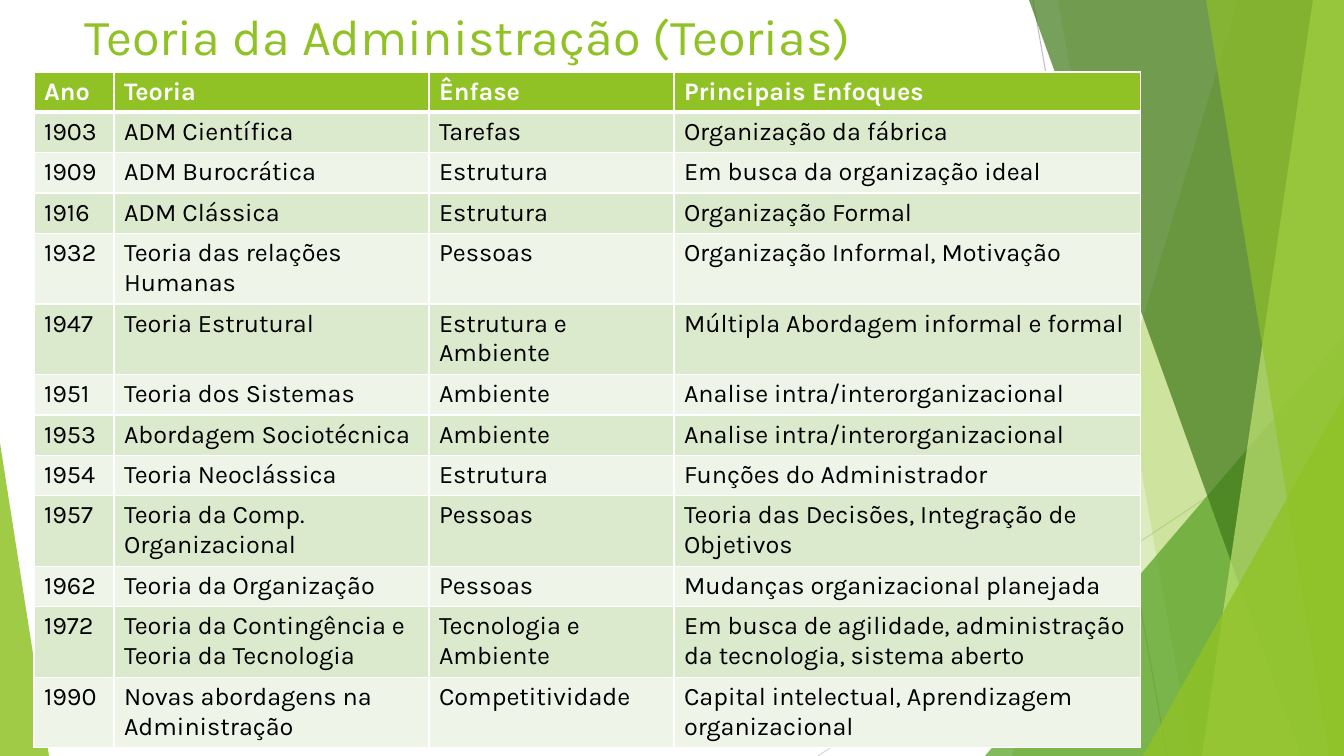
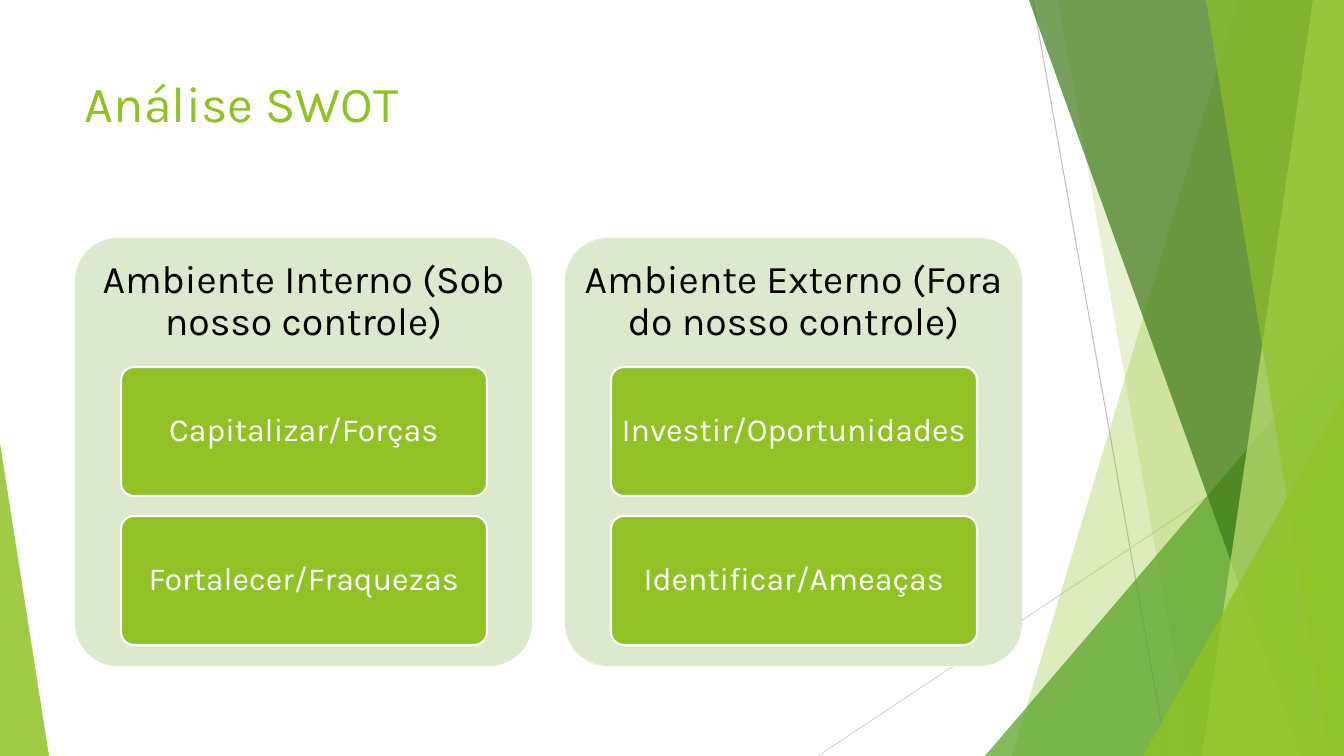
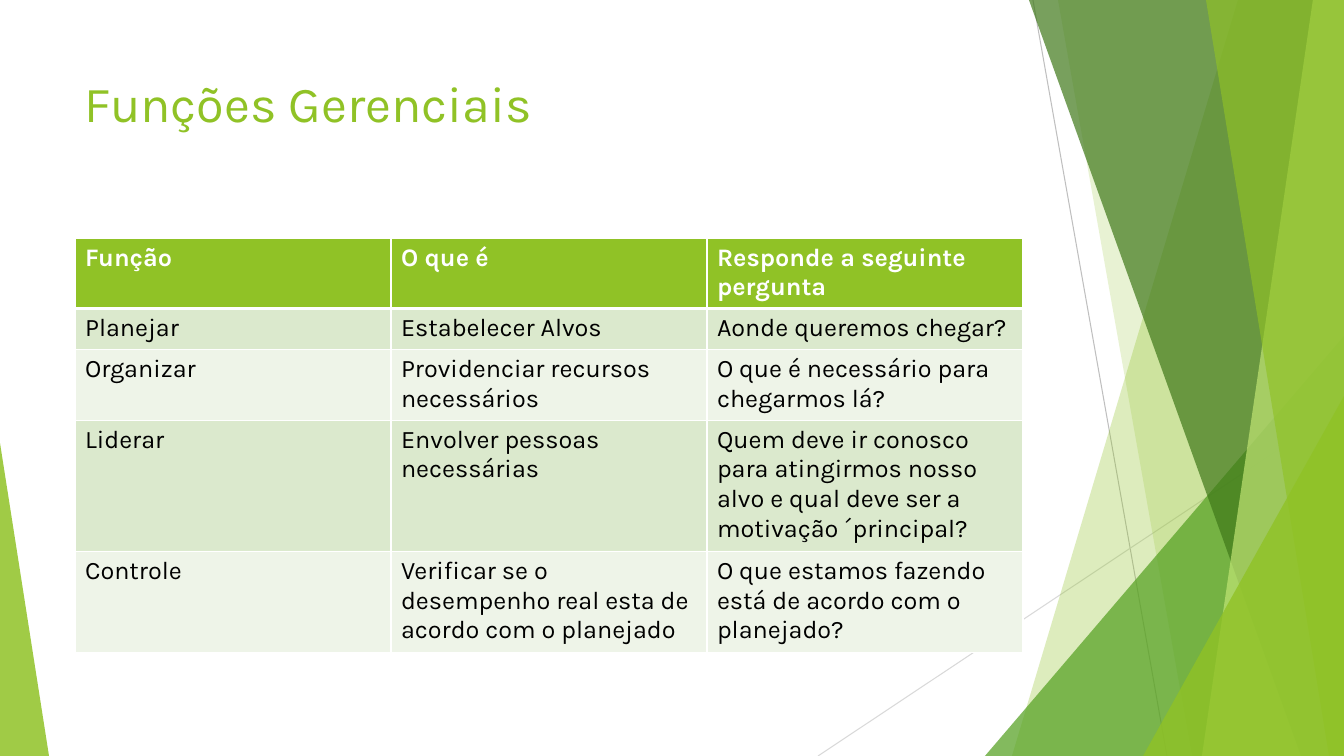
import pptx
import pptx.util
import pptx.dml.color
import pptx.enum.shapes
import pptx.enum.text
import pptx.oxml.ns
import lxml.etree

SCALE = 914400 / 100.8
WIDTH, HEIGHT = 1344, 756
FONT = "Karla"
GREEN, MID_GREEN, DARK_GREEN, LIME = "90C226", "54A021", "3F7819", "C0E474"
BAND, PALE_BAND = "DBE9CD", "EEF4E8"
WHITE, BLACK = "FFFFFF", "000000"
SHAPES = pptx.enum.shapes.MSO_SHAPE
ANCHOR = pptx.enum.text.MSO_ANCHOR
CENTER = pptx.enum.text.PP_ALIGN.CENTER


def px(length):
    """Turn pixels into EMU."""
    return pptx.util.Emu(round(length * SCALE))


def rgb(color):
    """Turn a hex string into a colour."""
    return pptx.dml.color.RGBColor.from_string(color)


def add_xml(parent, tag, **attributes):
    """Append a DrawingML element to a parent."""
    return lxml.etree.SubElement(parent, pptx.oxml.ns.qn(tag), attributes)


def paint(shape, color, opacity=100):
    """Give a shape a flat fill without line or shadow."""
    shape.shadow.inherit = False
    shape.line.fill.background()
    shape.fill.solid()
    shape.fill.fore_color.rgb = rgb(color)
    if opacity < 100:
        tint = shape.fill._xPr.find(".//" + pptx.oxml.ns.qn("a:srgbClr"))
        add_xml(tint, "a:alpha", val=str(opacity * 1000))


def write(frame, text, size, color, bold=False):
    """Set the text of a frame and format its runs."""
    frame.text = text
    frame.word_wrap = True
    for paragraph in frame.paragraphs:
        for run in paragraph.runs:
            run.font.name = FONT
            run.font.size = pptx.util.Pt(size)
            run.font.bold = bold
            run.font.color.rgb = rgb(color)


def center(frame, inset_x, inset_y):
    """Centre a frame's text both ways within the given insets."""
    frame.vertical_anchor = ANCHOR.MIDDLE
    frame.margin_left = frame.margin_right = px(inset_x)
    frame.margin_top = frame.margin_bottom = px(inset_y)
    for paragraph in frame.paragraphs:
        paragraph.alignment = CENTER
        paragraph.line_spacing = 0.9


def add_box(slide, preset, box, adjustment, color, opacity=100):
    """Add a painted preset shape with one adjustment."""
    shape = slide.shapes.add_shape(preset, *map(px, box))
    shape.adjustments[0] = adjustment
    paint(shape, color, opacity)
    return shape


def add_ray(slide, start, end, color):
    """Add a thin line between two points."""
    ray = slide.shapes.add_connector(
        pptx.enum.shapes.MSO_CONNECTOR.STRAIGHT, *map(px, start + end))
    ray.line.color.rgb = rgb(color)
    ray.line.width = pptx.util.Pt(0.75)
    add_xml(ray._element.spPr, "a:effectLst")


def add_blade(slide, top, bottom, color, opacity):
    """Add a full-height facet from its slanted left edge to the right edge."""
    outline = slide.shapes.build_freeform(px(top), 0)
    outline.add_line_segments(
        [(px(WIDTH), 0), (px(WIDTH), px(HEIGHT)), (px(bottom), px(HEIGHT))])
    paint(outline.convert_to_shape(), color, opacity)


def add_wedge(slide, box, tip, color, opacity):
    """Add a triangle whose tip sits at a fraction of its width."""
    add_box(slide, SHAPES.ISOSCELES_TRIANGLE, box, tip, color, opacity)


def add_facets(slide):
    """Draw the shared green facets along the slide's edges."""
    add_ray(slide, (1033, 0), (1167, HEIGHT), "BFBFBF")
    add_ray(slide, (WIDTH, 406), (818, HEIGHT), "D9D9D9")
    add_blade(slide, 1238, 1012, GREEN, 30)
    add_blade(slide, 1058, 1192, GREEN, 20)
    add_wedge(slide, (985, 336, 359, 420), 1, MID_GREEN, 72)
    add_blade(slide, 1029, 1301, DARK_GREEN, 70)
    add_blade(slide, 1313, 1202, LIME, 70)
    add_blade(slide, 1206, 1329, GREEN, 65)
    add_wedge(slide, (1143, 396, 201, 360), 1, GREEN, 80)
    add_wedge(slide, (0, 443, 49, 313), 0, GREEN, 85)


def add_slide(deck, title, title_top=67):
    """Add a slide with the shared facets and a title."""
    slide = deck.slides.add_slide(deck.slide_layouts[6])
    add_facets(slide)
    heading = slide.shapes.add_textbox(*map(px, (75, title_top, 948, 145)))
    write(heading.text_frame, title, 36, GREEN)
    return slide


def add_borders(cell, top, bottom):
    """Draw white cell borders; top and bottom widths are in points."""
    properties = cell._tc.get_or_add_tcPr()
    for side, width in (("L", 1), ("R", 1), ("T", top), ("B", bottom)):
        border = add_xml(properties, "a:ln" + side, w=str(pptx.util.Pt(width)))
        add_xml(add_xml(border, "a:solidFill"), "a:srgbClr", val=WHITE)


def add_grid(slide, box, columns, row_height, rows):
    """Add a banded table; rows grow from row_height to fit their text."""
    frame = slide.shapes.add_table(len(rows), len(columns), *map(px, box))
    table = frame.table
    for column, width in zip(table.columns, columns):
        column.width = px(width)
    for r, texts in enumerate(rows):
        table.rows[r].height = px(row_height)
        header = r == 0
        fill = GREEN if header else (PALE_BAND, BAND)[r % 2]
        for c, text in enumerate(texts):
            cell = table.cell(r, c)
            add_borders(cell, 3 if r == 1 else 1, 3 if header else 1)
            cell.fill.solid()
            cell.fill.fore_color.rgb = rgb(fill)
            write(cell.text_frame, text, 18, WHITE if header else BLACK, header)
    frame.height = px(box[3])


def add_environment(slide, box, heading, actions):
    """Add a rounded panel with a heading and a stack of action cards."""
    left, top, width, _ = box
    add_box(slide, SHAPES.ROUNDED_RECTANGLE, box, 0.1, BAND)
    label = slide.shapes.add_textbox(*map(px, (left, top, width, 128)))
    write(label.text_frame, heading, 28, BLACK)
    center(label.text_frame, 12, 12)
    for i, action in enumerate(actions):
        card = add_box(slide, SHAPES.ROUNDED_RECTANGLE,
                       (left + 46, top + 129 + 149 * i, width - 91, 129),
                       0.1, GREEN)
        card.line.color.rgb = rgb(WHITE)
        card.line.width = pptx.util.Pt(1.5)
        write(card.text_frame, action, 23, WHITE)
        center(card.text_frame, 6, 5)


def build_theories(deck):
    """Build the timeline table of management theories."""
    slide = add_slide(deck, "Teoria da Administração (Teorias)", 0)
    add_grid(slide, (34, 72, 1107, 675), (80, 315, 245, 467), 35, [
        ("Ano", "Teoria", "Ênfase", "Principais Enfoques"),
        ("1903", "ADM Científica", "Tarefas", "Organização da fábrica"),
        ("1909", "ADM Burocrática", "Estrutura",
         "Em busca da organização ideal"),
        ("1916", "ADM Clássica", "Estrutura", "Organização Formal"),
        ("1932", "Teoria das relações Humanas", "Pessoas",
         "Organização Informal, Motivação"),
        ("1947", "Teoria Estrutural", "Estrutura e Ambiente",
         "Múltipla Abordagem informal e formal"),
        ("1951", "Teoria dos Sistemas", "Ambiente",
         "Analise intra/interorganizacional"),
        ("1953", "Abordagem Sociotécnica", "Ambiente",
         "Analise intra/interorganizacional"),
        ("1954", "Teoria Neoclássica", "Estrutura",
         "Funções do Administrador"),
        ("1957", "Teoria da Comp. Organizacional", "Pessoas",
         "Teoria das Decisões, Integração de Objetivos"),
        ("1962", "Teoria da Organização", "Pessoas",
         "Mudanças organizacional planejada"),
        ("1972", "Teoria da Contingência e Teoria da Tecnologia",
         "Tecnologia e Ambiente",
         "Em busca de agilidade, administração da tecnologia, sistema aberto"),
        ("1990", "Novas abordagens na Administração", "Competitividade",
         "Capital intelectual, Aprendizagem organizacional"),
    ])


def build_swot(deck):
    """Build the SWOT slide with its two environments."""
    slide = add_slide(deck, "Análise SWOT")
    environments = (
        ("Ambiente Interno (Sob nosso controle)",
         ("Capitalizar/Forças", "Fortalecer/Fraquezas")),
        ("Ambiente Externo (Fora do nosso controle)",
         ("Investir/Oportunidades", "Identificar/Ameaças")),
    )
    for i, (heading, actions) in enumerate(environments):
        add_environment(slide, (75 + 490 * i, 238, 457, 428), heading, actions)


def build_functions(deck):
    """Build the table of managerial functions."""
    slide = add_slide(deck, "Funções Gerenciais")
    add_grid(slide, (75, 238, 948, 414), (316,) * 3, 41, [
        ("Função", "O que é", "Responde a seguinte pergunta"),
        ("Planejar", "Estabelecer Alvos", "Aonde queremos chegar?"),
        ("Organizar", "Providenciar recursos necessários",
         "O que é necessário para chegarmos lá?"),
        ("Liderar", "Envolver pessoas necessárias",
         "Quem deve ir conosco para atingirmos nosso alvo e qual deve ser a "
         "motivação ´principal?"),
        ("Controle",
         "Verificar se o desempenho real esta de acordo com o planejado",
         "O que estamos fazendo está de acordo com o planejado?"),
    ])


def main():
    """Build and save the deck."""
    deck = pptx.Presentation()
    deck.slide_width, deck.slide_height = px(WIDTH), px(HEIGHT)
    build_theories(deck)
    build_swot(deck)
    build_functions(deck)
    deck.save("out.pptx")


main()
